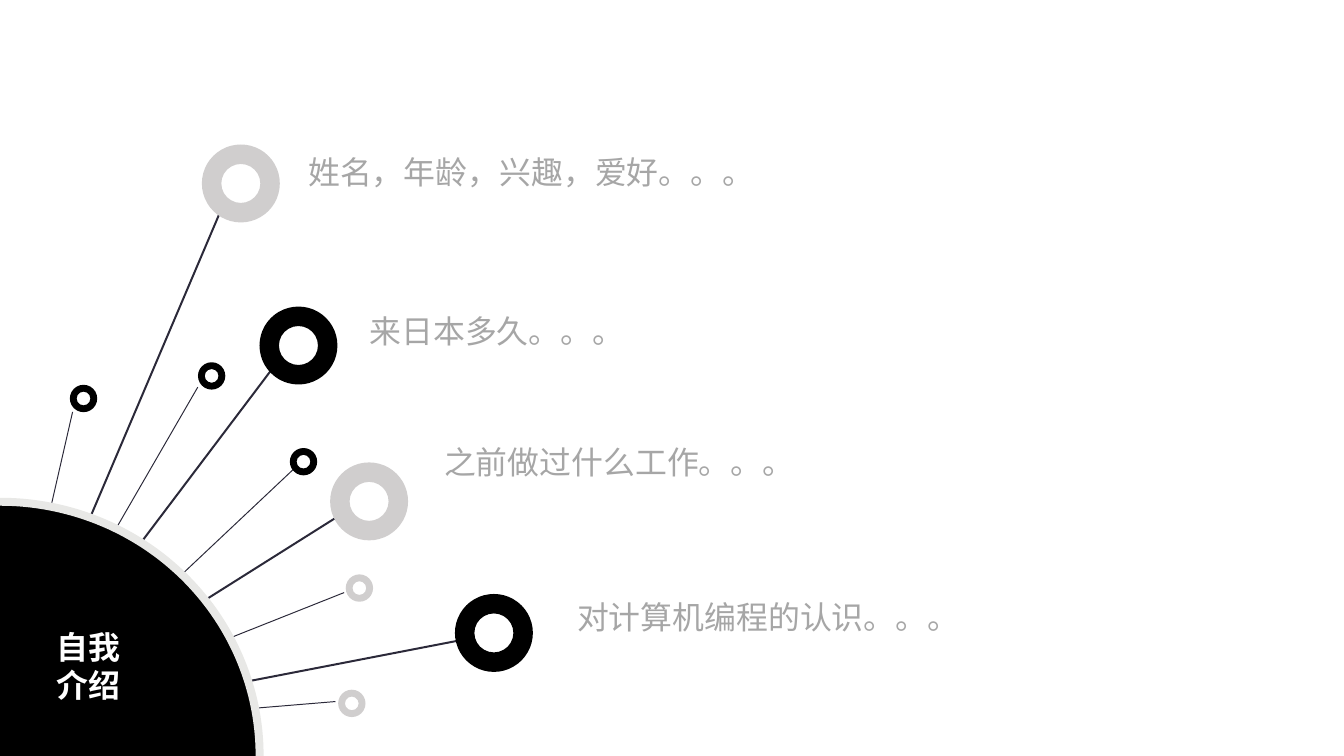
import math

from lxml import etree
from pptx import Presentation
from pptx import util as u
from pptx.dml import color
from pptx.enum import shapes, text
from pptx.oxml import ns

WIDTH, HEIGHT = 1012.3, 569.5
BLACK, GREY, INK = "000000", "D0CECE", "2B2939"
HUB = (0, 549.4)
LOW_HUB = (-2.9, 564.5)
ARC_WIDTH, ARC_HEIGHT = 195.6, 191.5
LARGE, SMALL = 58.7, 20.6
THICK, THIN = 1.5, 0.75

SPOKES = [
    ((252.7, 528.5), HUB, THIN),
    ((54.7, 310.3), HUB, THIN),
    ((149, 291.6), HUB, THIN),
    ((259.2, 446.4), HUB, THIN),
    ((167, 157), HUB, THICK),
    ((206.6, 275.8), HUB, THICK),
    ((254.9, 388.8), HUB, THICK),
    ((346.3, 482.4), HUB, THICK),
    ((221.8, 352.8), LOW_HUB, THIN),
]

RINGS = [
    ((159.4, 283.2), SMALL, BLACK),
    ((228.6, 347.8), SMALL, BLACK),
    ((270.7, 443), SMALL, GREY),
    ((372, 476.8), LARGE, BLACK),
    ((181.4, 138.2), LARGE, GREY),
    ((224.8, 260.3), LARGE, BLACK),
    ((278, 377.7), LARGE, GREY),
    ((62.9, 300.2), SMALL, BLACK),
    ((265, 529.9), SMALL, GREY),
]

TOPICS = [
    ("姓名，年龄，兴趣，爱好。。。", (224.6, 105.8, 385.9, 42.5), 1.2),
    ("来日本多久。。。", (270.7, 225.4, 191.5, 42.5), 1.2),
    ("之前做过什么工作。。。", (326.9, 329.8, 355, 36.7), 1.0),
    ("对计算机编程的认识。。。", (427, 440.6, 323.3, 42.5), 1.2),
]


def points(values):
    return [u.Pt(value) for value in values]


def rgb(value):
    return color.RGBColor.from_string(value)


def apply(target, values):
    for name, value in values.items():
        setattr(target, name, value)


def paint(shape, fill=None, line=None, width=0):
    shape.shadow.inherit = False
    if fill:
        shape.fill.solid()
        shape.fill.fore_color.rgb = rgb(fill)
    else:
        shape.fill.background()
    if line:
        shape.line.color.rgb = rgb(line)
        shape.line.width = u.Pt(width)
    else:
        shape.line.fill.background()


def add_spoke(parent, start, end, width):
    spoke = parent.shapes.add_connector(
        shapes.MSO_CONNECTOR.STRAIGHT, *points(start + end))
    spoke.line.color.rgb = rgb(INK)
    spoke.line.width = u.Pt(width)
    etree.SubElement(spoke._element.spPr, ns.qn("a:effectLst"))


def add_ring(parent, centre, size, fill):
    left, top = (value - size / 2 for value in centre)
    ring = parent.shapes.add_shape(
        shapes.MSO_SHAPE.DONUT, *points((left, top, size, size)))
    ring.adjustments[0] = 0.25
    paint(ring, fill)


def add_outline(parent, vertices, closed, **style):
    start, *rest = [points(vertex) for vertex in vertices]
    builder = parent.shapes.build_freeform(*start)
    builder.add_line_segments(rest, close=closed)
    paint(builder.convert_to_shape(), **style)


def add_quarter(parent):
    angles = [math.radians(degree) for degree in range(91)]
    arc = [(ARC_WIDTH * math.sin(angle), HEIGHT - ARC_HEIGHT * math.cos(angle))
           for angle in angles]
    add_outline(parent, arc + [(0, HEIGHT)], True, fill=BLACK)
    add_outline(parent, arc, False, line="E8E8E6", width=6)


def add_label(parent, lines, place, font, layout):
    box = parent.shapes.add_textbox(*points(place))
    frame = box.text_frame
    apply(frame, {
        "word_wrap": True,
        "auto_size": text.MSO_AUTO_SIZE.SHAPE_TO_FIT_TEXT,
        "margin_left": u.Pt(7.6),
        "margin_right": u.Pt(7.6),
        "margin_top": u.Pt(3.8),
        "margin_bottom": u.Pt(3.8),
    })
    for index, line in enumerate(lines):
        para = frame.add_paragraph() if index else frame.paragraphs[0]
        apply(para, layout)
        span = para.add_run()
        span.text = line
        apply(span.font, {"size": u.Pt(24), "name": font["name"], "bold": font["bold"]})
        span.font.color.rgb = rgb(font["color"])


def main():
    deck = Presentation()
    apply(deck, {"slide_width": u.Pt(WIDTH), "slide_height": u.Pt(HEIGHT)})
    page = deck.slides.add_slide(deck.slide_layouts[6])

    fan = page.shapes.add_group_shape()
    for spoke in SPOKES:
        add_spoke(fan, *spoke)

    hub = page.shapes.add_group_shape()
    add_quarter(hub)
    title_font = {"name": "Noto Sans", "bold": True, "color": "FFFFFF"}
    add_label(hub, ["自我", "介绍"], (8.6, 468.7, 116.6, 65.5), title_font,
              {"alignment": text.PP_ALIGN.CENTER})

    for ring in RINGS:
        add_ring(page, *ring)

    topic_font = {"name": "Arial", "bold": False, "color": "A6A6A6"}
    for topic, place, spacing in TOPICS:
        add_label(page, [topic], place, topic_font, {"line_spacing": spacing})

    deck.save("out.pptx")


if __name__ == "__main__":
    main()
